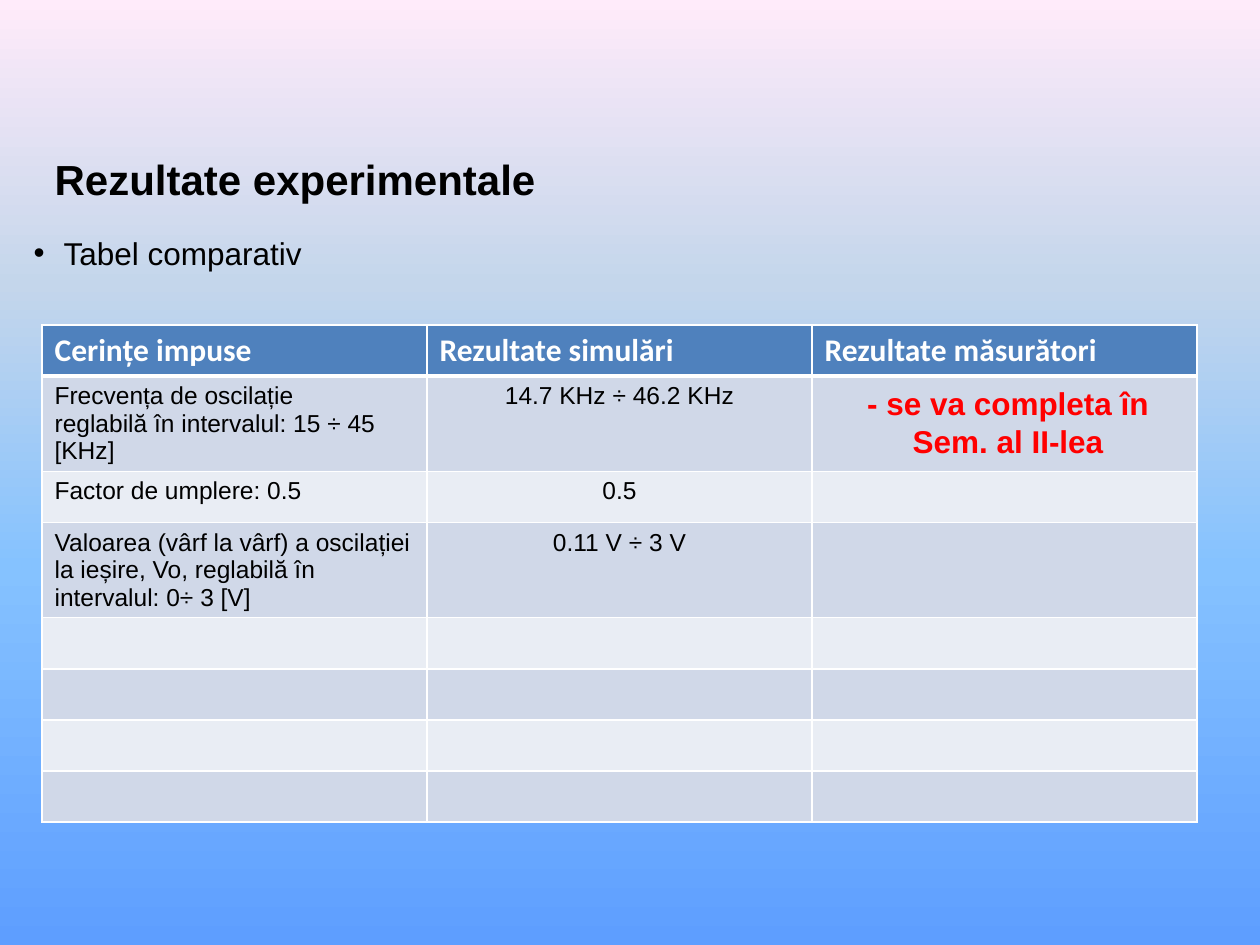
from dataclasses import dataclass

from lxml.etree import SubElement
from pptx import Presentation
from pptx.dml.color import RGBColor
from pptx.enum.text import MSO_ANCHOR, MSO_AUTO_SIZE, PP_ALIGN
from pptx.oxml.ns import qn
from pptx.util import Emu, Pt


@dataclass(frozen=True)
class Theme:
    font: str = "Arial"
    head_font: str = "Calibri"
    ink: str = "000000"
    white: str = "FFFFFF"
    note: str = "FF0000"
    head_fill: str = "4F81BD"
    bands: tuple = ("D0D8E8", "E9EDF4")
    sky: tuple = ((0, "5E9EFF"), (40, "85C2FF"), (70, "C4D6EB"), (100, "FFEBFA"))
    title_size: int = 24
    text_size: int = 18
    cell_size: int = 14


T = Theme()
ROW_COUNT = 8
HEADERS = ["Cerințe impuse", "Rezultate simulări", "Rezultate măsurători"]
RESULTS = [
    ("Frecvența de oscilație\nreglabilă în intervalul: 15 ÷ 45 [KHz]", "14.7 KHz ÷ 46.2 KHz"),
    ("Factor de umplere: 0.5", "0.5"),
    ("Valoarea (vârf la vârf) a oscilației la ieșire, Vo, reglabilă în intervalul: 0÷ 3 [V]",
     "0.11 V ÷ 3 V"),
]


def px(n):
    return Emu(round(n * 914400 / 126))


def place(shape, x, y, w, h):
    shape.left, shape.top, shape.width, shape.height = px(x), px(y), px(w), px(h)


def write(tf, text, size, color=T.ink, font=T.font, bold=False, align=PP_ALIGN.LEFT):
    tf.text = text
    for p in tf.paragraphs:
        p.alignment = align
        p.space_before = Pt(0)
        for r in p.runs:
            r.font.name = font
            r.font.size = Pt(size)
            r.font.bold = bold
            r.font.color.rgb = RGBColor.from_string(color)


def paint_background(s):
    fill = s.background.fill
    fill.gradient()
    fill.gradient_angle = 90
    stops = s.element.find(".//" + qn("a:gsLst"))
    for gs in list(stops):
        stops.remove(gs)
    for pos, color in T.sky:
        gs = SubElement(stops, qn("a:gs"), pos=str(pos * 1000))
        SubElement(gs, qn("a:srgbClr"), val=color)


def add_bullet(p, indent):
    pPr = p._p.get_or_add_pPr()
    pPr.set("marL", str(indent))
    pPr.set("indent", str(-indent))
    SubElement(pPr, qn("a:buFont"), typeface=T.font)
    SubElement(pPr, qn("a:buChar"), char="•")


def set_borders(cell, top=1, bottom=1):
    tcPr = cell._tc.get_or_add_tcPr()
    widths = {"lnL": 1, "lnR": 1, "lnT": top, "lnB": bottom}
    for i, (side, width) in enumerate(widths.items()):
        ln = SubElement(tcPr, qn("a:" + side), w=str(Pt(width)))
        fill = SubElement(ln, qn("a:solidFill"))
        SubElement(fill, qn("a:srgbClr"), val=T.white)
        tcPr.insert(i, ln)


def fill_cell(cell, color):
    cell.fill.solid()
    cell.fill.fore_color.rgb = RGBColor.from_string(color)


def add_results_table(s, x, y, w, row_h):
    table = s.shapes.add_table(ROW_COUNT, len(HEADERS), px(x), px(y),
                               px(w), px(row_h * ROW_COUNT)).table
    # Header row
    for cell, text in zip(table.rows[0].cells, HEADERS):
        write(cell.text_frame, text, T.text_size, T.white, T.head_font, bold=True)
        fill_cell(cell, T.head_fill)
        set_borders(cell, bottom=3)
    # Banded body rows
    for i in range(1, ROW_COUNT):
        for cell in table.rows[i].cells:
            fill_cell(cell, T.bands[(i - 1) % 2])
            set_borders(cell, top=3 if i == 1 else 1)
    # Requirements and simulated values
    for i, (requirement, value) in enumerate(RESULTS, 1):
        write(table.cell(i, 0).text_frame, requirement, T.cell_size)
        write(table.cell(i, 1).text_frame, value, T.cell_size, align=PP_ALIGN.CENTER)


def add_note(s, text, x, y, w, h):
    tf = s.shapes.add_textbox(px(x), px(y), px(w), px(h)).text_frame
    tf.word_wrap = True
    tf.auto_size = MSO_AUTO_SIZE.SHAPE_TO_FIT_TEXT
    write(tf, text, T.text_size, T.note, bold=True, align=PP_ALIGN.CENTER)


def main():
    prs = Presentation()
    prs.slide_width, prs.slide_height = px(1260), px(945)
    s = prs.slides.add_slide(prs.slide_layouts[1])
    paint_background(s)

    # Title
    title = s.shapes.title
    place(title, 42, 147, 1071, 63)
    title.text_frame.vertical_anchor = MSO_ANCHOR.MIDDLE
    write(title.text_frame, "Rezultate experimentale", T.title_size, bold=True)

    # Bulleted subtitle
    body = s.placeholders[1]
    place(body, 21, 221, 1176, 63)
    body.text_frame.vertical_anchor = MSO_ANCHOR.MIDDLE
    write(body.text_frame, "Tabel comparativ", T.text_size, align=PP_ALIGN.JUSTIFY)
    add_bullet(body.text_frame.paragraphs[0], px(30))

    # Comparison table with the note over its last column
    add_results_table(s, 42, 325, 1155, 51)
    add_note(s, "- se va completa în Sem. al II-lea", 819, 378, 378, 89)

    prs.save("out.pptx")


if __name__ == "__main__":
    main()
